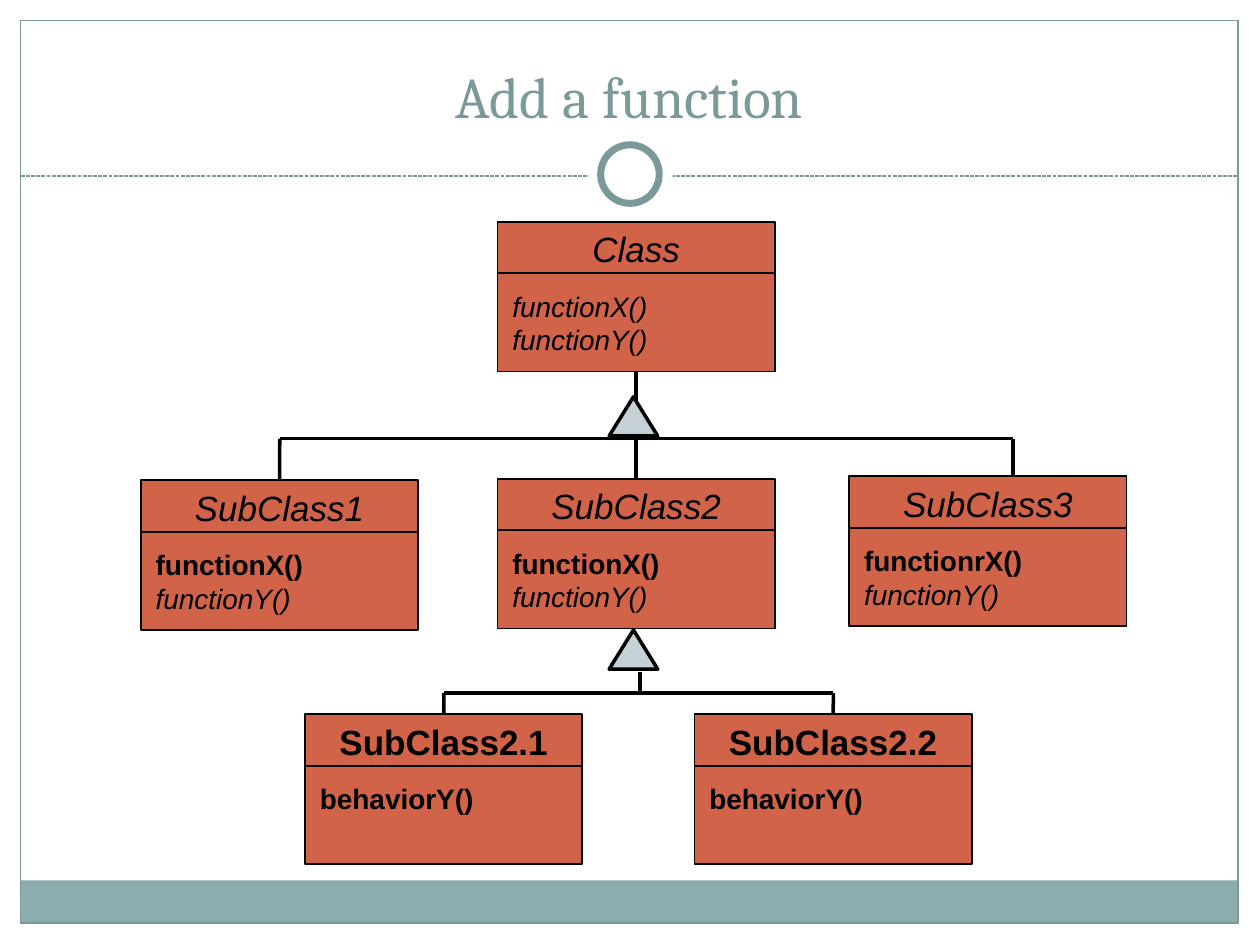
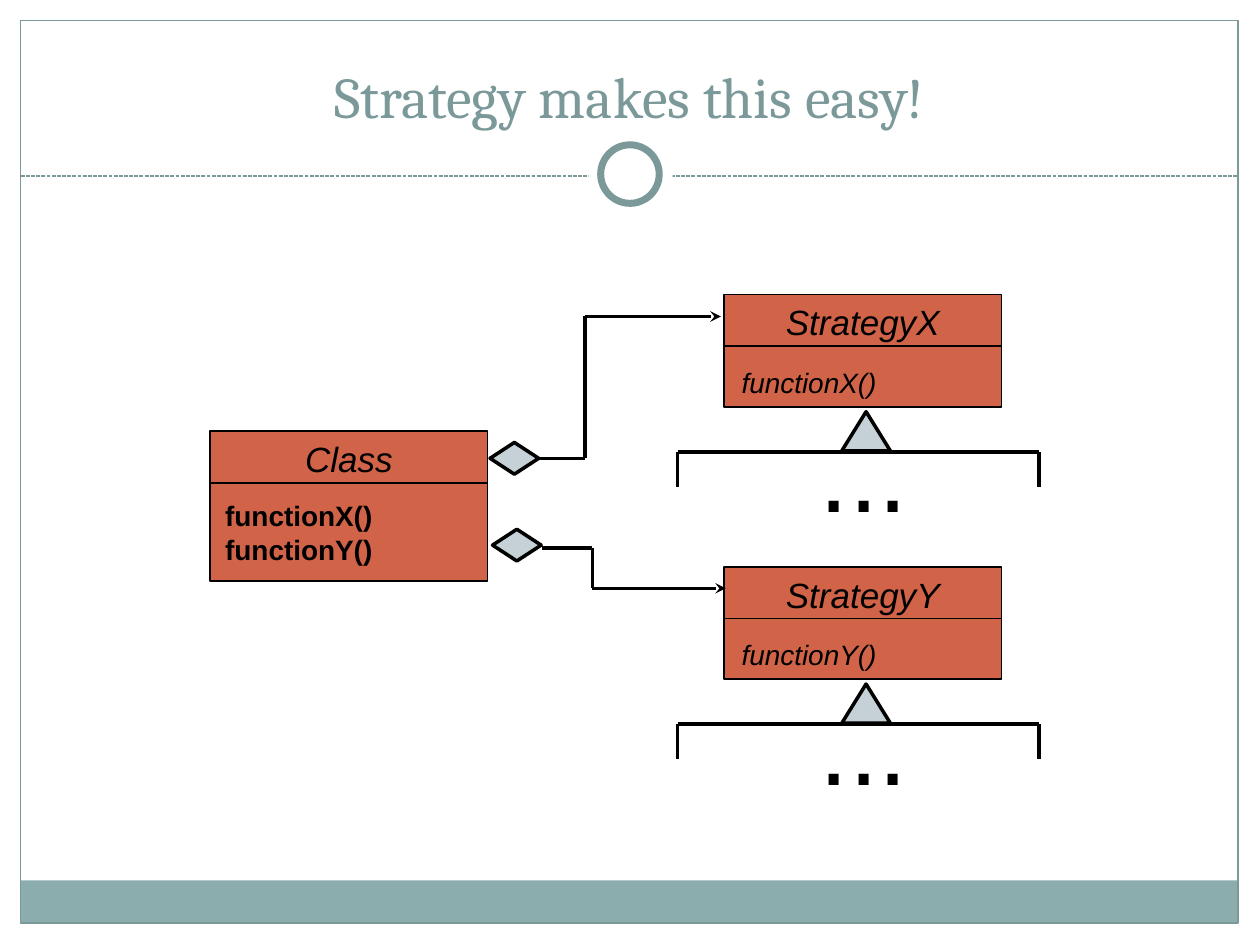
from itertools import pairwise

from lxml import etree
from pptx import Presentation
from pptx import util as u
from pptx.dml.color import RGBColor
from pptx.enum import dml, shapes, text
from pptx.oxml.ns import qn

HUES = {"teal": "7C999A", "band": "8CADAE", "rust": "D16349",
        "mist": "C5D1D7", "ink": "000000", "white": "FFFFFF"}
KINDS = shapes.MSO_SHAPE
BOX_W, BOX_H = 5.59, 3.02
TOP, BOTTOM = 0, 2


def hue(name):
    """Return the named colour."""
    return RGBColor.from_string(HUES[name])


def cm(*sizes):
    """Turn numbers into lengths in centimetres."""
    return [u.Cm(size) for size in sizes]


def write(shape, lines, size=16, font="Arial", color="ink",
          align="LEFT", anchor="TOP"):
    """Fill a shape with (text, style) lines; a style may hold b and i."""
    frame = shape.text_frame
    frame.word_wrap = True
    frame.vertical_anchor = getattr(text.MSO_ANCHOR, anchor)
    para = frame.paragraphs[0]
    para.alignment = getattr(text.PP_ALIGN, align)
    for index, (words, style) in enumerate(lines):
        if index:
            para.add_line_break()
        run = para.add_run()
        run.text = words
        run.font.name = font
        run.font.size = u.Pt(size)
        run.font.color.rgb = hue(color)
        run.font.bold = "b" in style
        run.font.italic = "i" in style


def label(slide, area, lines, **form):
    """Add a text box."""
    write(slide.shapes.add_textbox(*cm(*area)), lines, **form)


def shape(slide, kind, area, fill=None, line=None, width=1):
    """Add a preset shape with a plain fill and outline."""
    item = slide.shapes.add_shape(kind, *cm(*area))
    item.shadow.inherit = False
    if fill:
        item.fill.solid()
        item.fill.fore_color.rgb = hue(fill)
    else:
        item.fill.background()
    if line:
        item.line.color.rgb = hue(line)
        item.line.width = u.Pt(width)
    else:
        item.line.fill.background()
    return item


def wire(slide, start, end, color="ink", width=2, begin=None, finish=None):
    """Draw a straight line, joined to (shape, side) where given."""
    item = slide.shapes.add_connector(
        shapes.MSO_CONNECTOR.STRAIGHT, *cm(*start, *end))
    item.line.color.rgb = hue(color)
    item.line.width = u.Pt(width)
    if begin:
        item.begin_connect(*begin)
    if finish:
        item.end_connect(*finish)
    etree.SubElement(item._element.spPr, qn("a:effectLst"))
    return item


def route(slide, *points):
    """Draw a bent line that ends in an arrowhead."""
    for start, end in pairwise(points):
        last = wire(slide, start, end)
    etree.SubElement(last.line._get_or_add_ln(), qn("a:tailEnd"),
                     type="stealth")


def box(slide, x, y, name, lines, style="i", high=BOX_H, dx=0.05, dy=1.24):
    """Draw a class box with its name, divider and functions."""
    item = shape(slide, KINDS.RECTANGLE, (x, y, BOX_W, high), "rust", "ink")
    write(item, [(name, style)], size=20, align="CENTER")
    wire(slide, (x, y + 1.04), (x + BOX_W, y + 1.04), width=1)
    label(slide, (x + dx, y + dy, 5.64, high - 1.39), lines)
    return item


def mark(slide, kind, x, y, high):
    """Draw a small relation symbol."""
    shape(slide, kind, (x, y, 0.98, high), "mist", "ink", 2)


def fork(slide, y, left, right, drop, kids=(None, None)):
    """Draw a bar with a stem at each end, joined to the kids."""
    wire(slide, (left, y), (right, y))
    for x, kid in zip((left, right), kids):
        wire(slide, (x, y), (x, y + drop), finish=kid and (kid, TOP))


def page(deck, title):
    """Add a slide with its frame, band, ring and title."""
    slide = deck.slides.add_slide(deck.slide_layouts[6])
    shape(slide, KINDS.RECTANGLE, (0.42, 17.75, 24.54, 0.87), "band")
    shape(slide, KINDS.RECTANGLE, (0.42, 0.42, 24.54, 18.19),
          line="teal", width=0.75)
    rule = wire(slide, (0.42, 3.55), (24.96, 3.55), "teal", 0.75)
    rule.line.dash_style = dml.MSO_LINE.SQUARE_DOT
    shape(slide, KINDS.OVAL, (11.86, 2.67, 1.7, 1.7), "white")
    shape(slide, KINDS.OVAL, (12.11, 2.92, 1.18, 1.18), "white", "teal", 4)
    label(slide, (0.84, 0.64, 23.7, 2.11), [(title, "")], size=33,
          font="Cambria", color="teal", align="CENTER", anchor="BOTTOM")
    return slide


def tree(deck):
    """Build the slide with the class tree."""
    slide = page(deck, "Add a function")
    root = box(slide, 10.03, 4.47, "Class",
               [("functionX()", "i"), ("functionY()", "i")])
    subs = [box(slide, x, y, f"SubClass{num}", [(func, "b"), ("functionY()", "i")])
            for num, x, y, func in ((1, 2.84, 9.68, "functionX()"),
                                    (2, 10.03, 9.65, "functionX()"),
                                    (3, 17.12, 9.6, "functionrX()"))]
    kids = [box(slide, x, 14.4, f"SubClass2.{num}", [("behaviorY()", "b")], "b")
            for num, x in ((1, 6.15), (2, 14))]
    wire(slide, (12.83, 7.5), (12.83, 9.65),
         begin=(root, BOTTOM), finish=(subs[1], TOP))
    for y in (8, 12.7):
        mark(slide, KINDS.ISOSCELES_TRIANGLE, 12.28, y, 0.79)
    fork(slide, 8.84, 5.64, 20.42, 0.73, (subs[0], None))
    wire(slide, (12.9, 13.54), (12.9, 13.92))
    fork(slide, 13.97, 8.95, 16.8, 0.43, kids)


def plan(deck):
    """Build the slide with the strategy classes."""
    slide = page(deck, "Strategy makes this easy!")
    box(slide, 4.24, 8.69, "Class",
        [("functionX()", "b"), ("functionY()", "b")])
    for key, y in (("X", 5.94), ("Y", 11.43)):
        box(slide, 14.6, y, f"Strategy{key}", [(f"function{key}()", "i")],
            high=2.26, dx=0.1, dy=1.3)
        mark(slide, KINDS.ISOSCELES_TRIANGLE, 16.97, y + 2.36, 0.79)
        fork(slide, y + 3.17, 13.66, 20.95, 0.71)
        label(slide, (16.28, y + 2.16, 5.51, 2.79), [("...", "")], size=60)
    for x, y in ((9.88, 8.92), (9.93, 10.67)):
        mark(slide, KINDS.DIAMOND, x, y, 0.64)
    route(slide, (10.82, 9.24), (11.79, 9.24), (11.79, 6.38), (14.53, 6.38))
    route(slide, (10.92, 11.05), (11.94, 11.05), (11.94, 11.86), (14.63, 11.86))


def main():
    """Build and save the deck."""
    deck = Presentation()
    deck.slide_width, deck.slide_height = cm(25.4, 19.05)
    tree(deck)
    plan(deck)
    deck.save("out.pptx")


if __name__ == "__main__":
    main()
